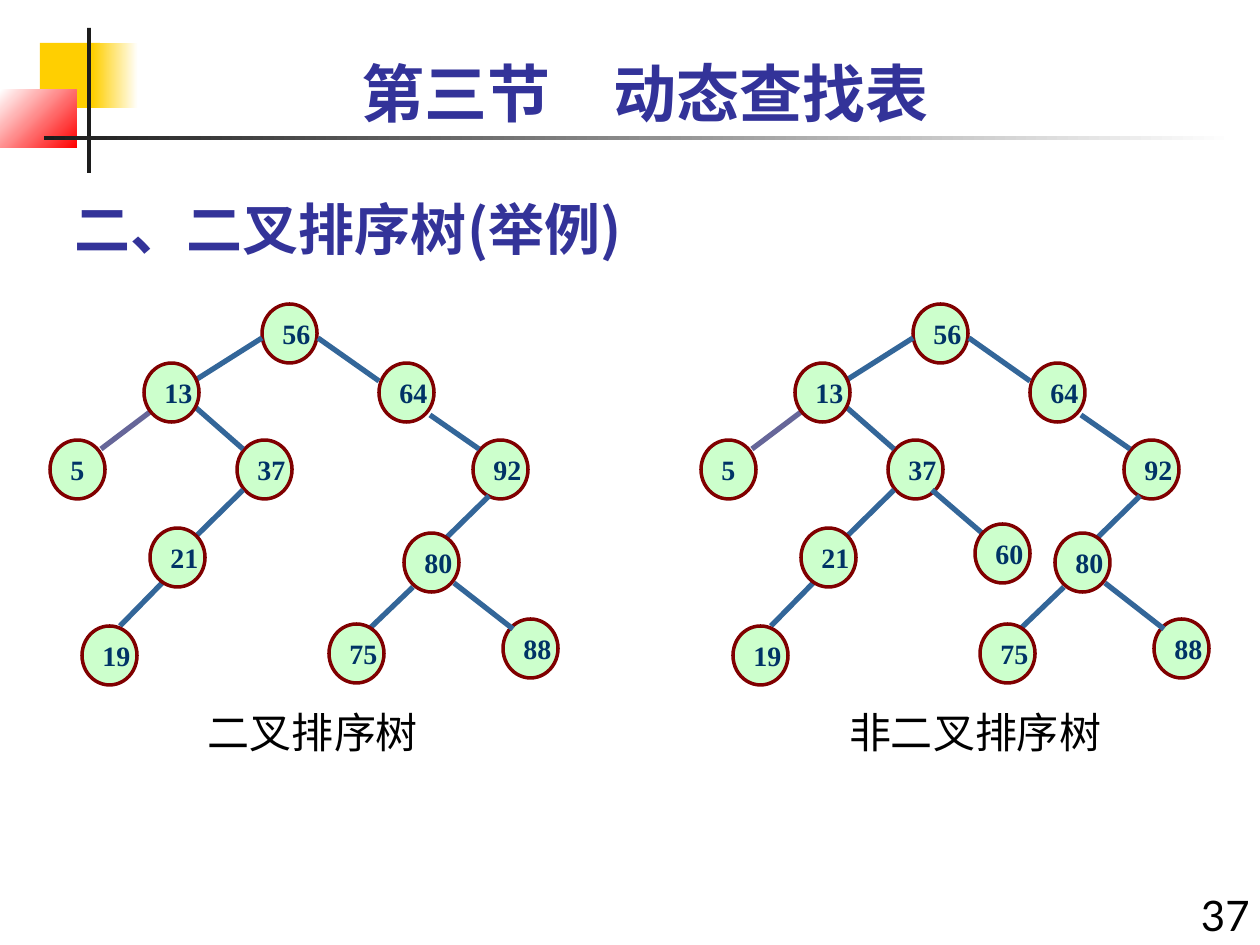
from typing import NamedTuple

from lxml.etree import SubElement
from pptx import Presentation
from pptx.dml.color import RGBColor as Rgb
from pptx.enum.shapes import MSO_CONNECTOR as Conn, MSO_SHAPE as Form
from pptx.enum.text import MSO_ANCHOR as Anchor, PP_ALIGN as Align
from pptx.oxml.ns import qn
from pptx.util import Pt

PX = 914400 / 126
HUE = {
    "gold": "FFCF01", "red": "FF0000", "white": "FFFFFF", "ink": "1C1C1C",
    "title": "333399", "black": "000000", "leaf": "CCFFCC", "rim": "800000",
    "digit": "003366", "edge": "336699", "dusk": "666699",
}
CJK = "Noto Sans CJK SC"
NODE_W, NODE_H = 55, 59
SHIFT = 651  # from the left tree to the right tree


class Node(NamedTuple):
    key: int
    x: int
    y: int


class Edge(NamedTuple):
    x1: int
    y1: int
    x2: int
    y2: int
    hue: str = "edge"


class Block(NamedTuple):
    x: int
    y: int
    w: int
    h: int
    hues: tuple
    angle: int = 0


BLOCKS = [
    Block(40, 43, 60, 65, ("gold",)),
    Block(93, 43, 45, 65, ("gold", "white")),
    Block(0, 90, 77, 58, ("white", "red"), 315),
    Block(87, 28, 4, 145, ("ink",)),
    Block(44, 136, 1191, 4, ("ink", "white")),
]
BACK = [Node(56, 262, 304), Node(64, 379, 363), Node(5, 50, 440),
        Node(92, 473, 440), Node(37, 237, 440), Node(88, 503, 619)]
FRONT = [Node(19, 82, 626), Node(80, 404, 533), Node(21, 150, 528),
         Node(13, 144, 363), Node(75, 329, 624)]
EDGES = [
    Edge(262, 338, 194, 381), Edge(150, 412, 101, 449, "dusk"),
    Edge(318, 338, 379, 381), Edge(194, 406, 243, 449),
    Edge(243, 490, 183, 549), Edge(430, 415, 479, 449),
    Edge(489, 496, 442, 542), Edge(454, 583, 513, 629),
    Edge(169, 576, 120, 626), Edge(413, 587, 365, 633),
]
EXTRA_NODE = Node(60, 324, 524)
EXTRA_EDGE = Edge(281, 490, 331, 533)


def emu(*px: int) -> list:
    return [round(n * PX) for n in px]


def rgb(name: str) -> Rgb:
    return Rgb.from_string(HUE[name])


def write(shape, text: str, *, size: int, hue: str, font: str = "Lato",
          bold: bool = False, align=Align.LEFT, anchor=Anchor.TOP,
          wrap: bool = True) -> None:
    frame = shape.text_frame
    frame.word_wrap = wrap
    frame.vertical_anchor = anchor
    para = frame.paragraphs[0]
    para.alignment = align
    run = para.add_run()
    run.text = text
    face = run.font
    face.size, face.bold, face.name = Pt(size), bold, font
    face.color.rgb = rgb(hue)
    SubElement(face._element, qn("a:ea"), typeface=CJK)


def add_text(slide, box: tuple, text: str, **style) -> None:
    write(slide.shapes.add_textbox(*emu(*box)), text, **style)


def add_block(slide, block: Block) -> None:
    """Draw a borderless bar, plain or fading between two colours."""
    shape = slide.shapes.add_shape(Form.RECTANGLE, *emu(*block[:4]))
    shape.shadow.inherit = False
    shape.line.fill.background()
    if len(block.hues) == 1:
        shape.fill.solid()
        shape.fill.fore_color.rgb = rgb(block.hues[0])
        return
    shape.fill.gradient()
    shape.fill.gradient_angle = block.angle
    for stop, hue in zip(shape.fill.gradient_stops, block.hues):
        stop.color.rgb = rgb(hue)


def add_node(slide, node: Node, dx: int) -> None:
    shape = slide.shapes.add_shape(
        Form.OVAL, *emu(node.x + dx, node.y, NODE_W, NODE_H))
    shape.shadow.inherit = False
    shape.fill.solid()
    shape.fill.fore_color.rgb = rgb("leaf")
    shape.line.color.rgb = rgb("rim")
    shape.line.width = Pt(2)
    write(shape, str(node.key), size=16, hue="digit", font="Times New Roman",
          bold=True, anchor=Anchor.MIDDLE, wrap=False)


def add_edge(slide, edge: Edge, dx: int) -> None:
    line = slide.shapes.add_connector(Conn.STRAIGHT, *emu(
        edge.x1 + dx, edge.y1, edge.x2 + dx, edge.y2))
    line.line.color.rgb = rgb(edge.hue)
    line.line.width = Pt(3)
    SubElement(line._element.spPr, qn("a:effectLst"))


def add_tree(slide, back: list, edges: list, front: list, dx: int = 0) -> None:
    """Draw the back nodes, then the edges, then the front nodes."""
    for node in back:
        add_node(slide, node, dx)
    for edge in edges:
        add_edge(slide, edge, dx)
    for node in front:
        add_node(slide, node, dx)


def main() -> None:
    deck = Presentation()
    deck.slide_width, deck.slide_height = emu(1260, 945)
    slide = deck.slides.add_slide(deck.slide_layouts[5])

    for block in BLOCKS:
        add_block(slide, block)

    title = slide.shapes.title
    title.left, title.top, title.width, title.height = emu(62, 174, 788, 94)
    write(title, "二、二叉排序树(举例)", size=32, hue="title", font=CJK,
          bold=True, anchor=Anchor.BOTTOM)
    add_text(slide, (62, 48, 1166, 88), "第三节\u3000动态查找表".replace("\u3000", "　"),
             size=36, hue="title", bold=True, align=Align.CENTER)
    add_text(slide, (1178, 883, 84, 62), "37", size=24, hue="black",
             align=Align.RIGHT)
    for x, label in ((166, "二叉排序树"), (828, "非二叉排序树")):
        add_text(slide, (x, 700, 294, 63), label, size=24, hue="black",
                 align=Align.CENTER)

    add_tree(slide, BACK, EDGES, FRONT)
    add_tree(slide, BACK, EDGES + [EXTRA_EDGE], FRONT + [EXTRA_NODE], SHIFT)
    deck.save("out.pptx")


if __name__ == "__main__":
    main()
